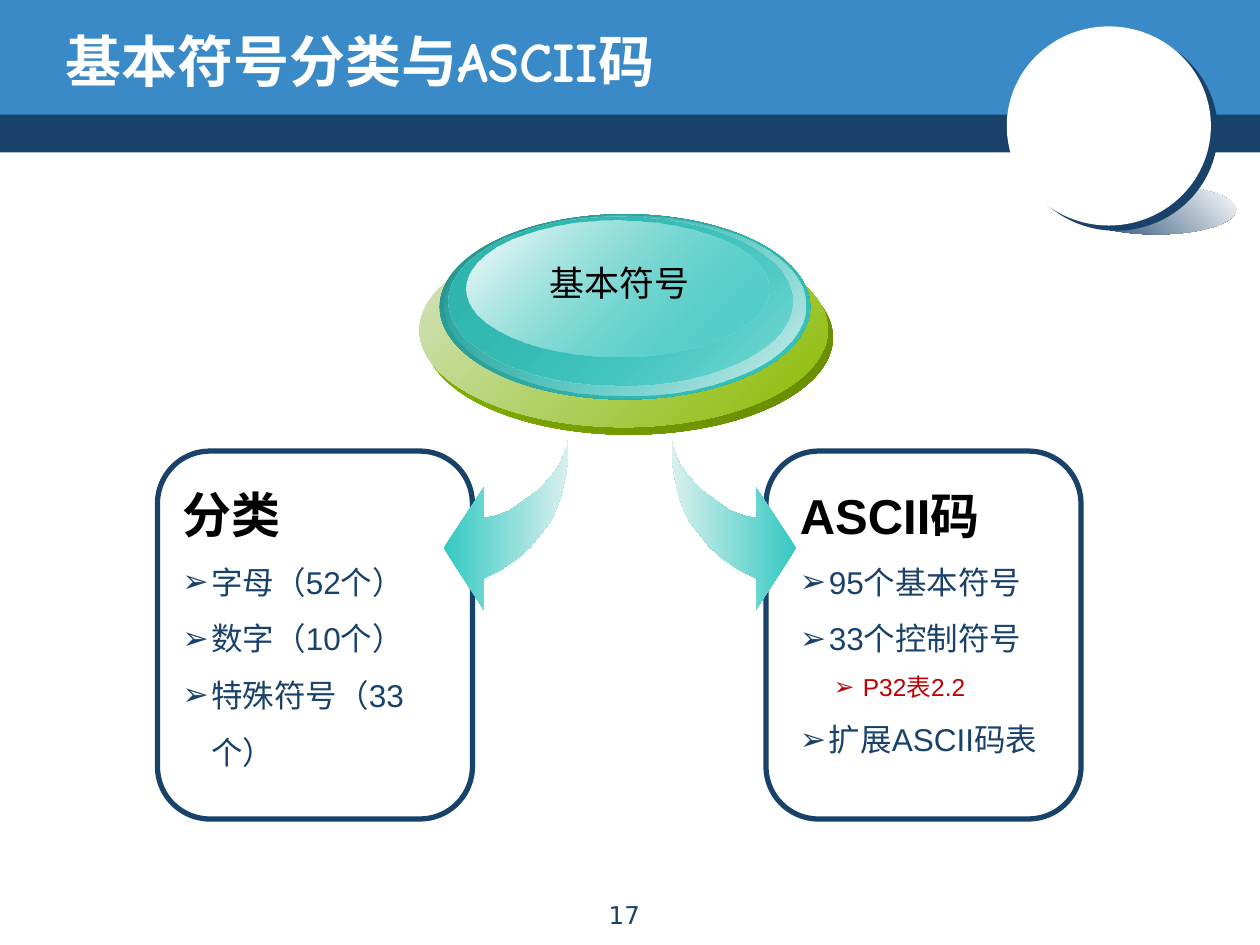
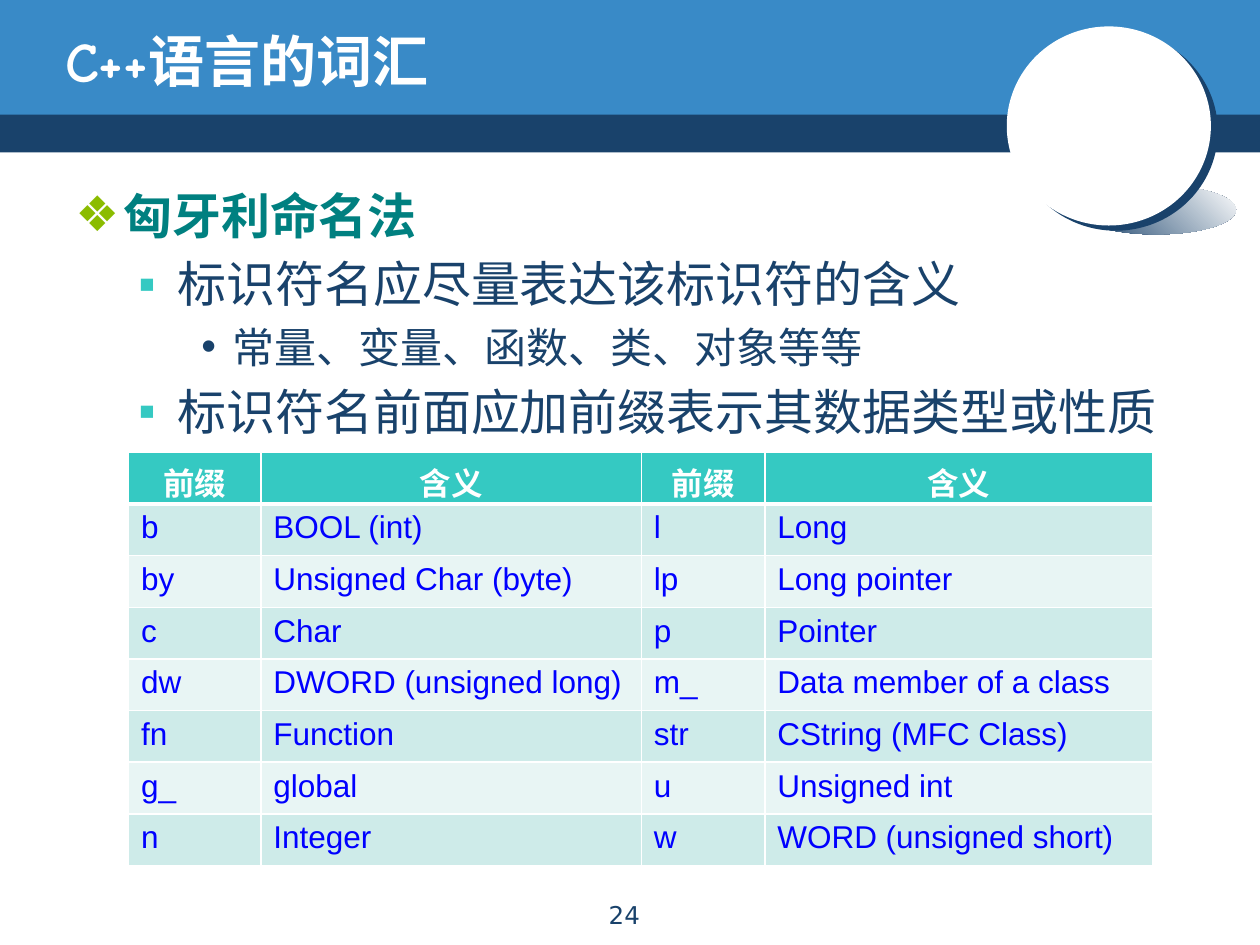
from dataclasses import dataclass
from typing import Any, NamedTuple, Optional

import pptx
import pptx.dml.color
import pptx.enum.shapes
import pptx.enum.text
import pptx.oxml
import pptx.oxml.ns
import pptx.util
from pptx.util import Inches

SHAPE = pptx.enum.shapes.MSO_SHAPE
ALIGN = pptx.enum.text.PP_ALIGN
ANCHOR = pptx.enum.text.MSO_ANCHOR
NAMESPACE = pptx.oxml.ns.nsdecls("a")

COLORS = {
    "navy": "19426B", "blue": "398AC7", "white": "FFFFFF", "black": "000000",
    "teal": "35C9C2", "deep_teal": "26908B", "mid_teal": "30B6AF",
    "pale_teal": "D5EEEC", "arrow_tail": "D9F0EE", "heading": "008080",
    "green": "8BBC00", "dark_green": "668900", "pale_green": "D6E4C6",
    "red": "C00000", "cell_text": "0000FF",
    "row_dark": "CEEBE9", "row_light": "E8F5F4",
}


class Frame(NamedTuple):
    left: float
    top: float
    width: float
    height: float

    def lengths(self) -> list:
        return [Inches(value) for value in self]


class Gradient(NamedTuple):
    """Linear gradient; angle is clockwise degrees, opacities are percent."""
    start: str
    end: str
    angle: int
    start_opacity: int = 100
    end_opacity: int = 100


@dataclass
class Line:
    """One paragraph of text."""
    text: str
    size: float
    color: str = "navy"
    font: str = "Arial"
    bold: bool = False
    align: Any = ALIGN.LEFT
    spacing: float = 1.0
    before: float = 0
    bullet: Optional[str] = None
    bullet_color: Optional[str] = None
    margin: float = 0
    hang: float = 0


def rgb(name: str) -> pptx.dml.color.RGBColor:
    return pptx.dml.color.RGBColor.from_string(COLORS[name])


def paint(shape: Any, fill: Any = None, line: Optional[str] = None, width: float = 1) -> None:
    """Give a shape a plain colour, a gradient or no fill, and an optional outline."""
    shape.shadow.inherit = False
    if isinstance(fill, Gradient):
        shape.fill.background()
        stops = "".join(
            f'<a:gs pos="{position}"><a:srgbClr val="{COLORS[name]}">'
            f'<a:alpha val="{opacity * 1000}"/></a:srgbClr></a:gs>'
            for position, name, opacity in (
                (0, fill.start, fill.start_opacity), (100000, fill.end, fill.end_opacity)))
        gradient = pptx.oxml.parse_xml(
            f'<a:gradFill {NAMESPACE} rotWithShape="1"><a:gsLst>{stops}</a:gsLst>'
            f'<a:lin ang="{fill.angle * 60000}" scaled="1"/></a:gradFill>')
        properties = shape._element.spPr
        properties.replace(properties.find(pptx.oxml.ns.qn("a:noFill")), gradient)
    elif fill:
        shape.fill.solid()
        shape.fill.fore_color.rgb = rgb(fill)
    else:
        shape.fill.background()
    if line:
        shape.line.color.rgb = rgb(line)
        shape.line.width = pptx.util.Pt(width)
    else:
        shape.line.fill.background()


def add_shape(parent: Any, kind: Any, frame: Frame, fill: Any = None,
              line: Optional[str] = None, width: float = 1) -> Any:
    shape = parent.shapes.add_shape(kind, *frame.lengths())
    paint(shape, fill, line, width)
    return shape


def write(para: Any, line: Line) -> None:
    para.text = line.text
    para.alignment = line.align
    para.line_spacing = line.spacing
    para.space_before = pptx.util.Pt(line.before)
    para.font.size = pptx.util.Pt(line.size)
    para.font.name = line.font
    para.font.bold = line.bold
    para.font.color.rgb = rgb(line.color)
    if line.bullet:
        properties = para._p.get_or_add_pPr()
        properties.set("marL", str(Inches(line.margin)))
        properties.set("indent", str(-Inches(line.hang)))
        marks = []
        if line.bullet_color:
            marks.append(f'<a:buClr {NAMESPACE}><a:srgbClr val="{COLORS[line.bullet_color]}"/></a:buClr>')
        marks.append(f'<a:buFont {NAMESPACE} typeface="Arial"/>')
        marks.append(f'<a:buChar {NAMESPACE} char="{line.bullet}"/>')
        # Bullets come after the spacing and before the default run properties
        defaults = properties.find(pptx.oxml.ns.qn("a:defRPr"))
        for mark in marks:
            defaults.addprevious(pptx.oxml.parse_xml(mark))


def add_text(page: Any, frame: Frame, lines: list[Line], anchor: Any = ANCHOR.TOP,
             wrap: bool = True) -> None:
    box = page.shapes.add_textbox(*frame.lengths())
    box.text_frame.word_wrap = wrap
    box.text_frame.vertical_anchor = anchor
    for index, line in enumerate(lines):
        para = box.text_frame.add_paragraph() if index else box.text_frame.paragraphs[0]
        write(para, line)


def add_page(deck: Any, title: str, number: int) -> Any:
    """Blank page with the shared bands, round badge, title and page number."""
    page = deck.slides.add_slide(deck.slide_layouts[6])
    add_shape(page, SHAPE.RECTANGLE, Frame(0, 0.87, 10, 0.34), "navy")
    add_shape(page, SHAPE.RECTANGLE, Frame(0, 0, 10, 0.91), "blue")

    badge = page.shapes.add_group_shape()
    add_shape(badge, SHAPE.OVAL, Frame(8.54, 1.47, 1.27, 0.39), Gradient("navy", "white", 315))
    disc = add_shape(badge, SHAPE.OVAL, Frame(7.99, 0.21, 1.62, 1.58), "white")
    effects = disc._element.spPr.find(pptx.oxml.ns.qn("a:effectLst"))
    effects.append(pptx.oxml.parse_xml(
        f'<a:outerShdw {NAMESPACE} dist="{pptx.util.Pt(5)}" dir="{37 * 60000}" algn="ctr" '
        f'rotWithShape="0"><a:srgbClr val="{COLORS["navy"]}"/></a:outerShdw>'))
    add_shape(badge, SHAPE.OVAL, Frame(8.54, 0.68, 0.57, 0.59), "white")

    add_text(page, Frame(0.42, 0.17, 8.08, 0.62),
             [Line(title, 32, "white", "Comic Neue", bold=True)], ANCHOR.MIDDLE)
    add_text(page, Frame(4.05, 7.09, 1.81, 0.32),
             [Line(str(number), 14, font="DejaVu Sans", align=ALIGN.CENTER)])
    return page


# Symbols page: two panels fed by arrows from a layered button

def heading(text: str) -> Line:
    return Line(text, 28, "black", bold=True)


def item(text: str) -> Line:
    return Line(text, 18, spacing=1.5, bullet="➢", margin=0.23, hang=0.23)


def add_panel(page: Any, left: float, text_frame: Frame, lines: list[Line]) -> None:
    add_shape(page, SHAPE.ROUNDED_RECTANGLE, Frame(left, 3.58, 2.5, 2.92), line="navy", width=3)
    add_text(page, text_frame, lines)


ARROW_POINTS = [
    (4.51, 3.48), (4.51, 3.63), (4.49, 3.77), (4.46, 3.91), (4.42, 4.03), (4.37, 4.14),
    (4.29, 4.24), (4.21, 4.34), (4.11, 4.43), (3.98, 4.52), (3.84, 4.59), (3.84, 4.84),
    (3.52, 4.35), (3.84, 3.87), (3.84, 4.11), (3.91, 4.1), (3.97, 4.08), (4.05, 4.05),
    (4.12, 4), (4.19, 3.95), (4.26, 3.9), (4.33, 3.83), (4.39, 3.76), (4.44, 3.69),
    (4.47, 3.62), (4.5, 3.55),
]
MIRROR_SUM = 9.84  # left x + right x of matching arrow points


def add_curved_arrow(page: Any, mirrored: bool) -> None:
    points = [(Inches(MIRROR_SUM - x if mirrored else x), Inches(y)) for x, y in ARROW_POINTS]
    builder = page.shapes.build_freeform(*points[0], scale=1.0)
    builder.add_line_segments(points[1:], close=True)
    paint(builder.convert_to_shape(), Gradient("teal", "arrow_tail", 180 if mirrored else 0))


BUTTON_LAYERS = [
    (Frame(3.37, 1.91, 3.24, 1.54), Gradient("green", "dark_green", 45)),
    (Frame(3.33, 1.85, 3.24, 1.54), Gradient("pale_green", "green", 45)),
    (Frame(3.49, 1.7, 2.94, 1.47), Gradient("deep_teal", "teal", 45)),
    (Frame(3.53, 1.71, 2.86, 1.43), Gradient("teal", "pale_teal", 45, start_opacity=0)),
    (Frame(3.56, 1.72, 2.73, 1.34), Gradient("mid_teal", "teal", 45, end_opacity=48)),
    (Frame(3.7, 1.75, 2.4, 1.08), Gradient("white", "teal", 45, end_opacity=38)),
]


def build_symbols_page(deck: Any) -> None:
    page = add_page(deck, "基本符号分类与ASCII码", 17)
    add_panel(page, 6.08, Frame(6.25, 3.8, 2.25, 2.29), [
        heading("ASCII码"), item("95个基本符号"), item("33个控制符号"),
        Line("P32表2.2", 14, "red", spacing=1.5, bullet="➢", margin=0.5, hang=0.23),
        item("扩展ASCII码表")])
    add_panel(page, 1.25, Frame(1.35, 3.8, 2.23, 1.94), [
        heading("分类"), item("字母（52个）"), item("数字（10个）"), item("特殊符号（33个）")])
    for mirrored in (False, True):
        add_curved_arrow(page, mirrored)
    button = page.shapes.add_group_shape()
    for frame, fill in BUTTON_LAYERS:
        add_shape(button, SHAPE.OVAL, frame, fill)
    add_text(page, Frame(4.26, 2.03, 1.32, 0.44),
             [Line("基本符号", 20, "black", align=ALIGN.CENTER)], wrap=False)


# Vocabulary page: outline text above a table of prefixes

PREFIX_ROWS = [
    ("前缀", "含义", "前缀", "含义"),
    ("b", "BOOL (int)", "l", "Long"),
    ("by", "Unsigned Char (byte)", "lp", "Long pointer"),
    ("c", "Char", "p", "Pointer"),
    ("dw", "DWORD (unsigned long)", "m_", "Data member of a class"),
    ("fn", "Function", "str", "CString (MFC Class)"),
    ("g_", "global", "u", "Unsigned int"),
    ("n", "Integer", "w", "WORD (unsigned short)"),
]
COLUMN_WIDTHS = [1.05, 3.02, 0.98, 3.08]
ROW_HEIGHT = 0.41


def set_borders(cell: Any, top: float, bottom: float) -> None:
    properties = cell._tc.get_or_add_tcPr()
    for index, (side, width) in enumerate((("L", 1), ("R", 1), ("T", top), ("B", bottom))):
        properties.insert(index, pptx.oxml.parse_xml(
            f'<a:ln{side} {NAMESPACE} w="{pptx.util.Pt(width)}"><a:solidFill>'
            f'<a:srgbClr val="{COLORS["white"]}"/></a:solidFill></a:ln{side}>'))


def add_prefix_table(page: Any) -> None:
    frame = Frame(1.02, 3.59, sum(COLUMN_WIDTHS), ROW_HEIGHT * len(PREFIX_ROWS))
    table = page.shapes.add_table(len(PREFIX_ROWS), len(COLUMN_WIDTHS), *frame.lengths()).table
    for column, width in zip(table.columns, COLUMN_WIDTHS):
        column.width = Inches(width)
    for row, texts in enumerate(PREFIX_ROWS):
        table.rows[row].height = Inches(ROW_HEIGHT)
        for column, text in enumerate(texts):
            cell = table.cell(row, column)
            cell.fill.solid()
            if row == 0:
                cell.fill.fore_color.rgb = rgb("teal")
                line = Line(text, 18, "white", bold=True, align=ALIGN.CENTER)
            else:
                cell.fill.fore_color.rgb = rgb("row_dark" if row % 2 else "row_light")
                line = Line(text, 18, "cell_text")
            write(cell.text_frame.paragraphs[0], line)
            set_borders(cell, top=3 if row == 1 else 1, bottom=3 if row == 0 else 1)


def point(text: str) -> Line:
    return Line(text, 28, font="Comic Neue", before=5.6, bullet="▪", bullet_color="teal",
                margin=0.81, hang=0.31)


def build_vocabulary_page(deck: Any) -> None:
    page = add_page(deck, "C++语言的词汇", 24)
    add_text(page, Frame(0.5, 1.42, 8.92, 2.18), [
        Line("匈牙利命名法", 28, "heading", "Comic Neue", bold=True, before=5.6,
             bullet="❖", bullet_color="green", margin=0.38, hang=0.38),
        point("标识符名应尽量表达该标识符的含义"),
        Line("常量、变量、函数、类、对象等等", 24, font="Comic Neue", before=4.8,
             bullet="•", bullet_color="navy", margin=1.25, hang=0.25),
        point("标识符名前面应加前缀表示其数据类型或性质")])
    add_prefix_table(page)


deck = pptx.Presentation()
deck.slide_width, deck.slide_height = Inches(10), Inches(7.5)
build_symbols_page(deck)
build_vocabulary_page(deck)
deck.save("out.pptx")
